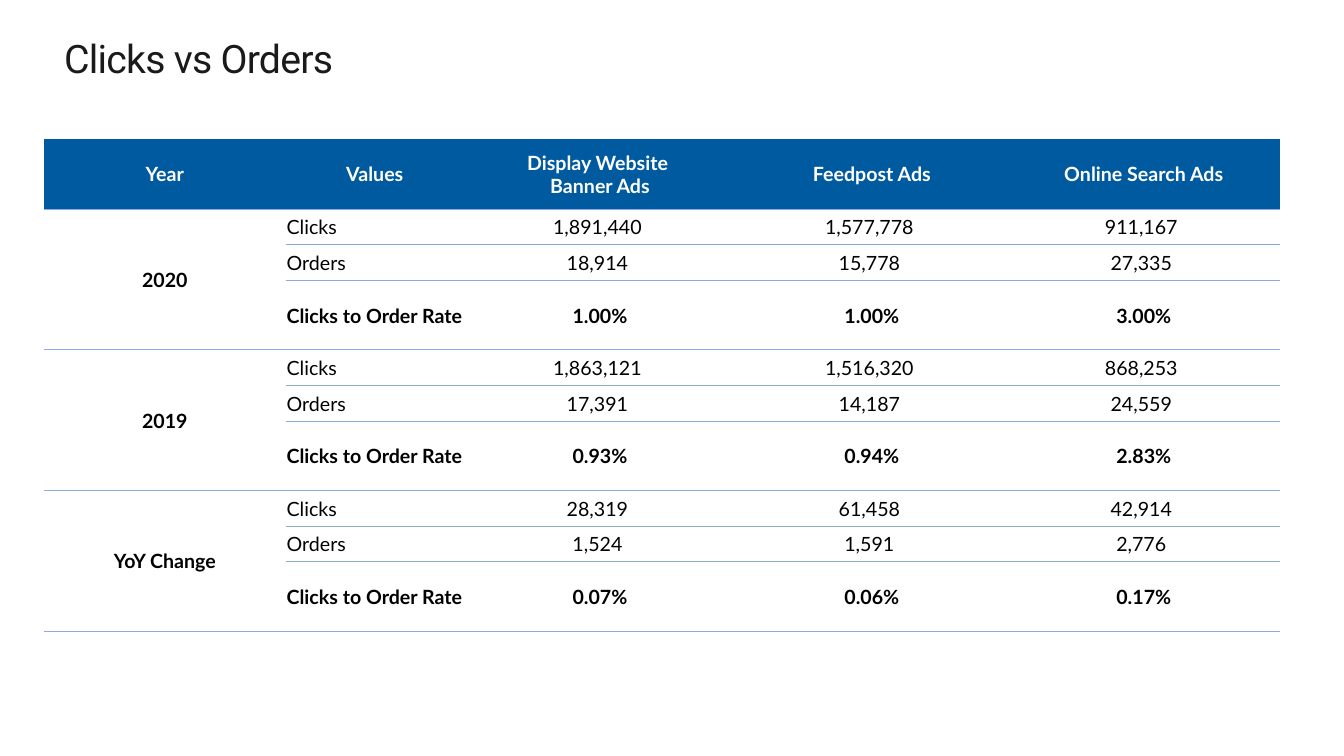
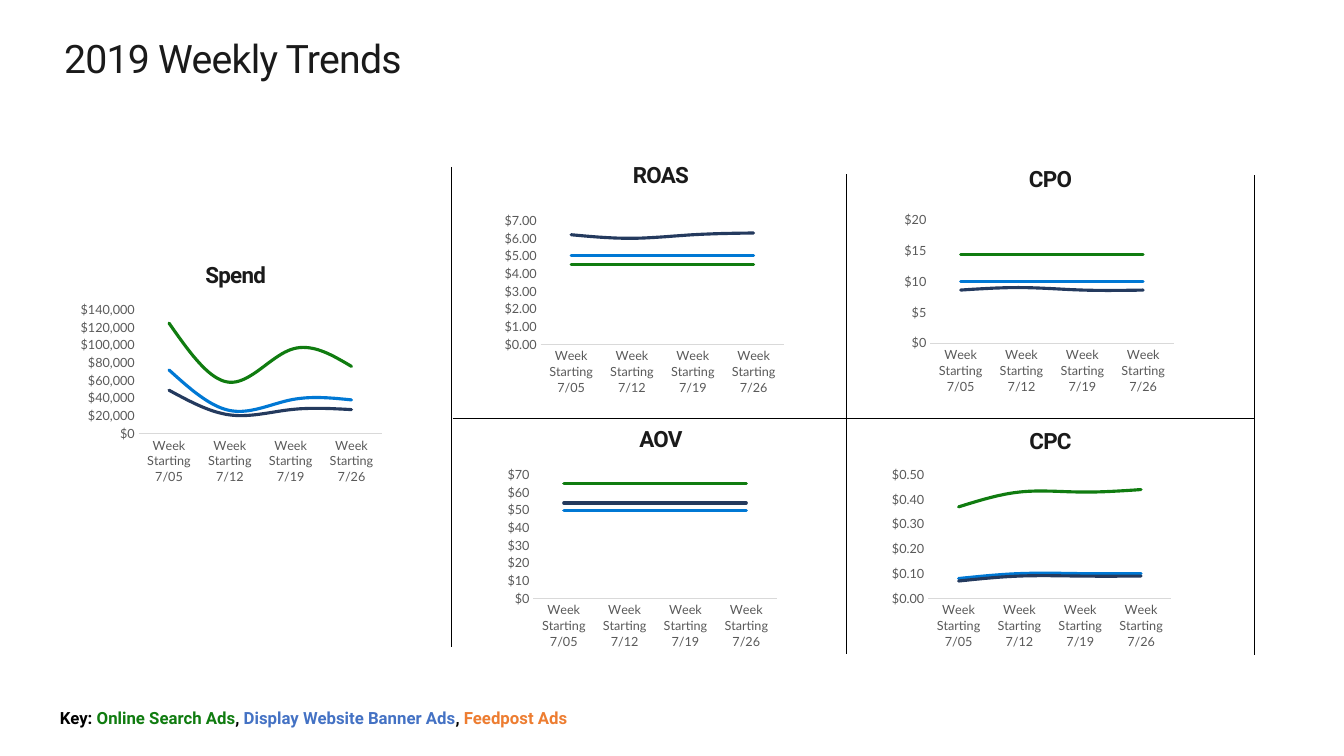
from lxml.etree import SubElement
from pptx import Presentation
from pptx.chart.data import CategoryChartData
from pptx.dml.color import RGBColor
from pptx.enum.chart import XL_CHART_TYPE as ChartType, XL_TICK_MARK as TickMark
from pptx.enum.shapes import MSO_CONNECTOR as Connector
from pptx.enum.text import MSO_ANCHOR as Anchor, MSO_AUTO_SIZE as AutoSize, PP_ALIGN as Align
from pptx.oxml.ns import qn
from pptx.util import Emu, Pt

COLORS = {
    "ink": "1A1A1A", "black": "000000", "white": "FFFFFF", "header": "005A9F",
    "rule": "8EA9DB", "label": "595959", "axis": "D9D9D9", "banner": "0078D4",
    "social": "243A5E", "search": "107C10", "key_banner": "4472C4", "key_social": "ED7D31",
}
FORMATS = {
    "title": {"size": Pt(28), "name": "Roboto", "bold": False},
    "chart_title": {"size": Pt(16), "name": "Roboto", "bold": True},
    "key": {"size": Pt(12), "name": "Roboto", "bold": True},
    "cell": {"size": Pt(14), "name": "Lato", "bold": False},
    "cell_bold": {"size": Pt(14), "name": "Lato", "bold": True},
    "chart": {"size": Pt(10), "name": "Lato", "bold": False},
    "axis": {"size": Pt(9), "name": "Lato", "bold": False},
}
TIGHT = -50
NO_STYLE = "{2D5ABB26-0587-4C30-8999-92F81FD0307C}"
PLOT_LAYOUT = {
    "layoutTarget": "inner", "xMode": "edge", "yMode": "edge",
    "x": 0.2, "y": 0.08, "w": 0.76, "h": 0.62,
}
BANNER, SOCIAL, SEARCH = "Display Website Banner Ads", "Feedpost Ads", "Online Search Ads"
SERIES = [(BANNER, "banner"), (SOCIAL, "social"), (SEARCH, "search")]
WEEKS = [f"Week Starting 7/{day}" for day in ("05", "12", "19", "26")]

COLUMN_WIDTHS = [230, 170, 259, 259, 259]
HEADER_HEIGHT = 67
MEASURES = [("Clicks", 34), ("Orders", 34), ("Clicks to Order Rate", 66)]
HEADINGS = ["Year", "Values", "Display Website \nBanner Ads", SOCIAL, SEARCH]
RESULTS = {
    "2020": [
        ["1,891,440 ", "1,577,778 ", "911,167 "],
        ["18,914 ", "15,778 ", "27,335 "],
        ["1.00%", "1.00%", "3.00%"],
    ],
    "2019": [
        ["1,863,121 ", "1,516,320 ", "868,253 "],
        ["17,391 ", "14,187 ", "24,559 "],
        ["0.93%", "0.94%", "2.83%"],
    ],
    "YoY Change": [
        ["28,319 ", "61,458 ", "42,914 "],
        ["1,524 ", "1,591 ", "2,776 "],
        ["0.07%", "0.06%", "0.17%"],
    ],
}

DOLLARS, CENTS = '"$"#,##0', '"$"#,##0.00'
TRENDS = [
    ("Spend", (166, 252), (71, 280), DOLLARS, 140000, 20000,
     [[72000, 26000, 38000, 38000], [49000, 21000, 27000, 27000], [125000, 58000, 95000, 76000]]),
    ("ROAS", (571, 156), (454, 195), CENTS, 7, 1,
     [[5] * 4, [6.2, 6, 6.2, 6.3], [4.5] * 4]),
    ("CPO", (942, 160), (825, 194), DOLLARS, 20, 5,
     [[10] * 4, [8.6, 9, 8.6, 8.6], [14.4] * 4]),
    ("AOV", (571, 408), (447, 437), DOLLARS, 70, 10,
     [[50] * 4, [54] * 4, [65] * 4]),
    ("CPC", (942, 410), (823, 437), CENTS, 0.5, 0.1,
     [[0.08, 0.1, 0.1, 0.1], [0.07, 0.09, 0.09, 0.09], [0.37, 0.43, 0.43, 0.44]]),
]


def px(length):
    """Turn pixels into EMU."""
    return Emu(length * 9525)


def color(name):
    """Look up a named colour."""
    return RGBColor.from_string(COLORS[name])


def set_font(font, style, color_name):
    """Apply a named format and colour to a font."""
    for attribute, value in FORMATS[style].items():
        setattr(font, attribute, value)
    font.color.rgb = color(color_name)


class Deck:
    """Hold the style and the current slide."""

    def __init__(self):
        """Start an empty widescreen presentation."""
        self.presentation = Presentation()
        self.presentation.slide_width = px(1280)
        self.presentation.slide_height = px(720)
        self.slide = None

    def add_slide(self, title):
        """Add a blank slide with its title."""
        self.slide = self.presentation.slides.add_slide(self.presentation.slide_layouts[6])
        self.text((61, 33, 1157, 45), [(title, "ink")], "title", spacing=TIGHT)

    def text(self, box, runs, style, align=Align.LEFT, anchor=Anchor.TOP,
             margins=(0, 0), line_spacing=None, spacing=None):
        """Add a one-paragraph text box made of coloured runs."""
        frame = self.slide.shapes.add_textbox(*map(px, box)).text_frame
        horizontal, vertical = map(px, margins)
        settings = {
            "word_wrap": True, "auto_size": AutoSize.SHAPE_TO_FIT_TEXT, "vertical_anchor": anchor,
            "margin_left": horizontal, "margin_right": horizontal,
            "margin_top": vertical, "margin_bottom": vertical,
        }
        for attribute, value in settings.items():
            setattr(frame, attribute, value)
        paragraph = frame.paragraphs[0]
        paragraph.alignment = align
        paragraph.line_spacing = line_spacing
        for content, color_name in runs:
            run = paragraph.add_run()
            run.text = content
            set_font(run.font, style, color_name)
            if spacing is not None:
                run._r.get_or_add_rPr().set("spc", str(spacing))

    def line(self, start, end):
        """Add a thin black line."""
        connector = self.slide.shapes.add_connector(
            Connector.STRAIGHT, *map(px, start), *map(px, end))
        connector.line.color.rgb = color("black")
        connector.line.width = Pt(0.75)
        SubElement(connector._element.spPr, qn("a:effectLst"))

    def table(self, corner, widths, heights):
        """Add an unstyled table and return it."""
        frame = self.slide.shapes.add_table(
            len(heights), len(widths), *map(px, corner), px(sum(widths)), px(sum(heights)))
        table = frame.table
        table.first_row = table.horz_banding = False
        next(frame._element.iter(qn("a:tableStyleId"))).text = NO_STYLE
        for column, width in zip(table.columns, widths):
            column.width = px(width)
        for row, height in zip(table.rows, heights):
            row.height = px(height)
        return table

    def cell(self, cell, content, style="cell", color_name="black",
             align=Align.CENTER, borders=(), fill=None):
        """Fill and format one table cell."""
        settings = {
            "vertical_anchor": Anchor.MIDDLE, "margin_left": px(1), "margin_right": px(1),
            "margin_top": px(1), "margin_bottom": px(0),
        }
        for attribute, value in settings.items():
            setattr(cell, attribute, value)
        cell.text = content
        for paragraph in cell.text_frame.paragraphs:
            paragraph.alignment = align
            set_font(paragraph.font, style, color_name)
            for run in paragraph.runs:
                set_font(run.font, style, color_name)
        for side in borders:
            border = SubElement(cell._tc.get_or_add_tcPr(), qn(f"a:ln{side}"), w=str(Pt(0.5)))
            solid = SubElement(border, qn("a:solidFill"))
            SubElement(solid, qn("a:srgbClr"), val=COLORS["rule"])
        if fill:
            cell.fill.solid()
            cell.fill.fore_color.rgb = color(fill)
        else:
            cell.fill.background()

    def line_chart(self, corner, number_format, maximum, unit, values):
        """Add a smooth weekly line chart."""
        data = CategoryChartData()
        data.categories = WEEKS
        for (name, _), numbers in zip(SERIES, values):
            data.add_series(name, numbers)
        chart = self.slide.shapes.add_chart(
            ChartType.LINE, *map(px, corner), px(305), px(190), data).chart
        chart.has_legend = chart.has_title = False
        set_font(chart.font, "chart", "black")
        chart.plots[0].vary_by_categories = False
        for series, (_, color_name) in zip(chart.plots[0].series, SERIES):
            series.smooth = True
            series.format.line.color.rgb = color(color_name)
            series.format.line.width = Pt(2.25)
            series.format.line._get_or_add_ln().set("cap", "rnd")
        for axis in (chart.category_axis, chart.value_axis):
            axis.has_major_gridlines = False
            axis.major_tick_mark = axis.minor_tick_mark = TickMark.NONE
            set_font(axis.tick_labels.font, "axis", "label")
        chart.category_axis.format.line.color.rgb = color("axis")
        chart.category_axis.format.line.width = Pt(0.75)
        value_axis = chart.value_axis
        value_axis.format.line.fill.background()
        value_axis.minimum_scale, value_axis.maximum_scale = 0, maximum
        value_axis.major_unit = unit
        value_axis.tick_labels.number_format = number_format
        value_axis.tick_labels.number_format_is_linked = False
        self.place_plot(chart)

    def place_plot(self, chart):
        """Fix the inner plot area of a chart."""
        plot_area = next(chart._chartSpace.iter(qn("c:plotArea")))
        for layout in plot_area.findall(qn("c:layout")):
            plot_area.remove(layout)
        layout = SubElement(plot_area, qn("c:layout"))
        plot_area.insert(0, layout)
        manual = SubElement(layout, qn("c:manualLayout"))
        for tag, value in PLOT_LAYOUT.items():
            SubElement(manual, qn(f"c:{tag}"), val=str(value))


def build_orders(deck):
    """Build the table of clicks and orders."""
    deck.add_slide("Clicks vs Orders")
    heights = [HEADER_HEIGHT] + [height for _, height in MEASURES] * len(RESULTS)
    table = deck.table((42, 132), COLUMN_WIDTHS, heights)
    for column, heading in enumerate(HEADINGS):
        deck.cell(table.cell(0, column), heading, "cell_bold", "white", fill="header")
    last = len(MEASURES) - 1
    for group, (year, results) in enumerate(RESULTS.items()):
        first_row = 1 + group * len(MEASURES)
        for offset, ((measure, _), values) in enumerate(zip(MEASURES, results)):
            row = first_row + offset
            style = "cell_bold" if offset == last else "cell"
            borders = {0: "T", last: "TB"}.get(offset, "")
            deck.cell(table.cell(row, 0), "" if offset else year, "cell_bold",
                      borders={0: "TB", last: "B"}.get(offset, ""))
            deck.cell(table.cell(row, 1), measure, style, align=Align.LEFT, borders=borders)
            for column, value in enumerate(values, 2):
                deck.cell(table.cell(row, column), value, style, borders=borders)
        table.cell(first_row, 0).merge(table.cell(first_row + last, 0))


def build_trends(deck):
    """Build the grid of weekly line charts."""
    deck.add_slide("2019 Weekly Trends")
    for _, _, corner, number_format, maximum, unit, values in TRENDS:
        deck.line_chart(corner, number_format, maximum, unit, values)
    deck.line((431, 399), (1195, 399))
    for left, top in ((806, 166), (430, 159), (1195, 167)):
        deck.line((left, top), (left, top + 457))
    for name, corner, *_ in TRENDS:
        deck.text((*corner, 117, 23), [(name, "ink")], "chart_title", Align.CENTER,
                  Anchor.BOTTOM, line_spacing=0.9, spacing=TIGHT)
    key = [
        ("Key: ", "black"), (SEARCH, "search"), (", ", "black"),
        (BANNER, "key_banner"), (", ", "black"), (SOCIAL, "key_social"),
    ]
    deck.text((47, 669, 1194, 29), key, "key", margins=(10, 5))


def main():
    """Build and save the presentation."""
    deck = Deck()
    build_orders(deck)
    build_trends(deck)
    deck.presentation.save("out.pptx")


if __name__ == "__main__":
    main()
